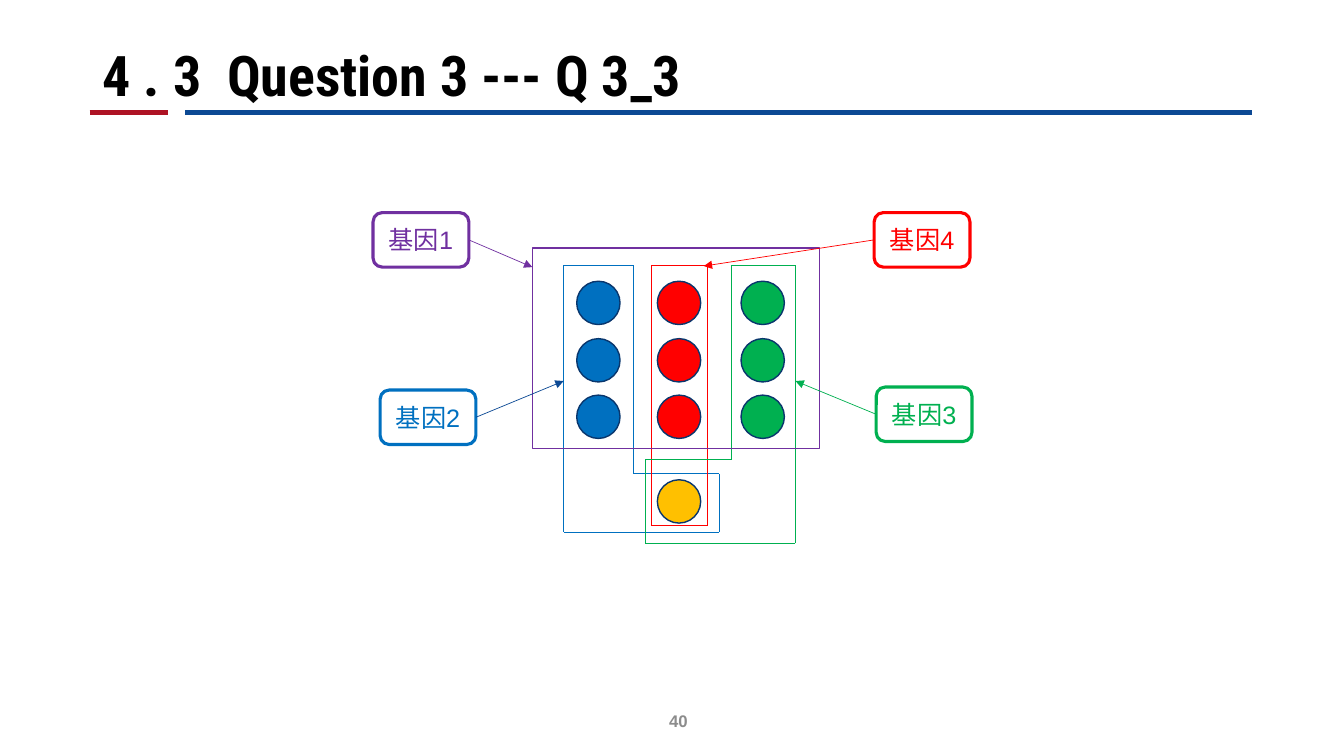
from pptx import Presentation
from pptx.dml.color import RGBColor
from pptx.enum.shapes import MSO_CONNECTOR, MSO_SHAPE
from pptx.enum.text import MSO_ANCHOR, PP_ALIGN
from pptx.oxml.ns import qn
from pptx.util import Emu, Pt
from lxml.etree import SubElement

SCALE = 9144
SIZE = (1333, 750)
THEME = {
    "color": {
        "blue": "0070C0", "red": "FF0000", "green": "00B050",
        "purple": "7030A0", "gold": "FFC000", "edge": "09366D",
        "navy": "0C4994", "crimson": "AE1324", "black": "000000",
        "gray": "8C8C8C",
    },
    "title": {"name": "Roboto Condensed", "size": Pt(40), "bold": True},
    "label": {"name": "Arial", "size": Pt(18), "bold": False},
    "page": {"name": "Arial", "size": Pt(12), "bold": True},
    "line": {"thin": 0.5, "base": 1, "box": 2.25, "rule": 3.5},
}

TITLE = ("4 . 3  Question 3 --- Q 3_3", (92, 0, 1150, 112))
PAGE = ("40", (392, 695, 300, 40))
RULES = [("crimson", 89, 167), ("navy", 184, 1242)]
RULE_TOP = 112

DOT = 43
COLUMNS = [("blue", 572), ("red", 652), ("green", 735)]
ROWS = [279, 336, 392]
LAST_DOT = ("gold", 652, 476)

LOOPS = {
    "blue": [(559, 263), (628, 263), (628, 470), (713, 470), (713, 528), (559, 528)],
    "red": [(646, 263), (702, 263), (702, 521), (646, 521)],
    "green": [(725, 263), (789, 263), (789, 539), (640, 539), (640, 456), (725, 456)],
}
FRAME = ("purple", (528, 246, 285, 199))

LABEL = (95, 54)
GENES = [
    ("基因1", "purple", "purple", (370, 211), (528, 265)),
    ("基因2", "blue", "navy", (377, 387), (559, 378)),
    ("基因3", "green", "green", (869, 384), (789, 378)),
    ("基因4", "red", "red", (867, 211), (698, 264)),
]


def px(*nums):
    return [Emu(num * SCALE) for num in nums]


def tint(name):
    return RGBColor.from_string(THEME["color"][name])


def stroke(item, color, width):
    item.line.color.rgb = tint(color)
    item.line.width = Pt(THEME["line"][width])


def draw_line(start, end, color, width="thin", arrow=False):
    line = slide.shapes.add_connector(MSO_CONNECTOR.STRAIGHT, *px(*start, *end))
    stroke(line, color, width)
    props = line._element.spPr
    if arrow:
        SubElement(props.find(qn("a:ln")), qn("a:tailEnd"), type="triangle")
    SubElement(props, qn("a:effectLst"))


def draw_shape(kind, area, color, width, fill=None):
    shape = slide.shapes.add_shape(kind, *px(*area))
    shape.shadow.inherit = False
    if fill:
        shape.fill.solid()
        shape.fill.fore_color.rgb = tint(fill)
    else:
        shape.fill.background()
    stroke(shape, color, width)
    return shape


def write(shape, text, style, color, align, anchor, wrap=True):
    frame = shape.text_frame
    frame.word_wrap = wrap
    frame.vertical_anchor = anchor
    para = frame.paragraphs[0]
    para.alignment = align
    run = para.add_run()
    run.text = text
    for key, value in THEME[style].items():
        setattr(run.font, key, value)
    run.font.color.rgb = tint(color)


def draw_dot(color, left, top):
    draw_shape(MSO_SHAPE.OVAL, (left, top, DOT, DOT), "edge", "base", color)


deck = Presentation()
deck.slide_width, deck.slide_height = px(*SIZE)
slide = deck.slides.add_slide(deck.slide_layouts[6])

for color, left, right in RULES:
    draw_line((left, RULE_TOP), (right, RULE_TOP), color, "rule")

text, area = TITLE
write(slide.shapes.add_textbox(*px(*area)), text, "title", "black",
      PP_ALIGN.LEFT, MSO_ANCHOR.BOTTOM)
text, area = PAGE
write(slide.shapes.add_textbox(*px(*area)), text, "page", "gray",
      PP_ALIGN.RIGHT, MSO_ANCHOR.MIDDLE)

for color, left in COLUMNS:
    for top in ROWS:
        draw_dot(color, left, top)
draw_dot(*LAST_DOT)

for color, points in LOOPS.items():
    for start, end in zip(points, points[1:] + points[:1]):
        draw_line(start, end, color)

color, area = FRAME
draw_shape(MSO_SHAPE.RECTANGLE, area, color, "base")

wide, high = LABEL
for text, color, pointer, (left, top), target in GENES:
    box = draw_shape(MSO_SHAPE.ROUNDED_RECTANGLE, (left, top, wide, high), color, "box")
    write(box, text, "label", color, PP_ALIGN.CENTER, MSO_ANCHOR.MIDDLE, False)
    side = left + wide if target[0] > left else left
    draw_line((side, top + high // 2), target, pointer, arrow=True)

deck.save("out.pptx")
